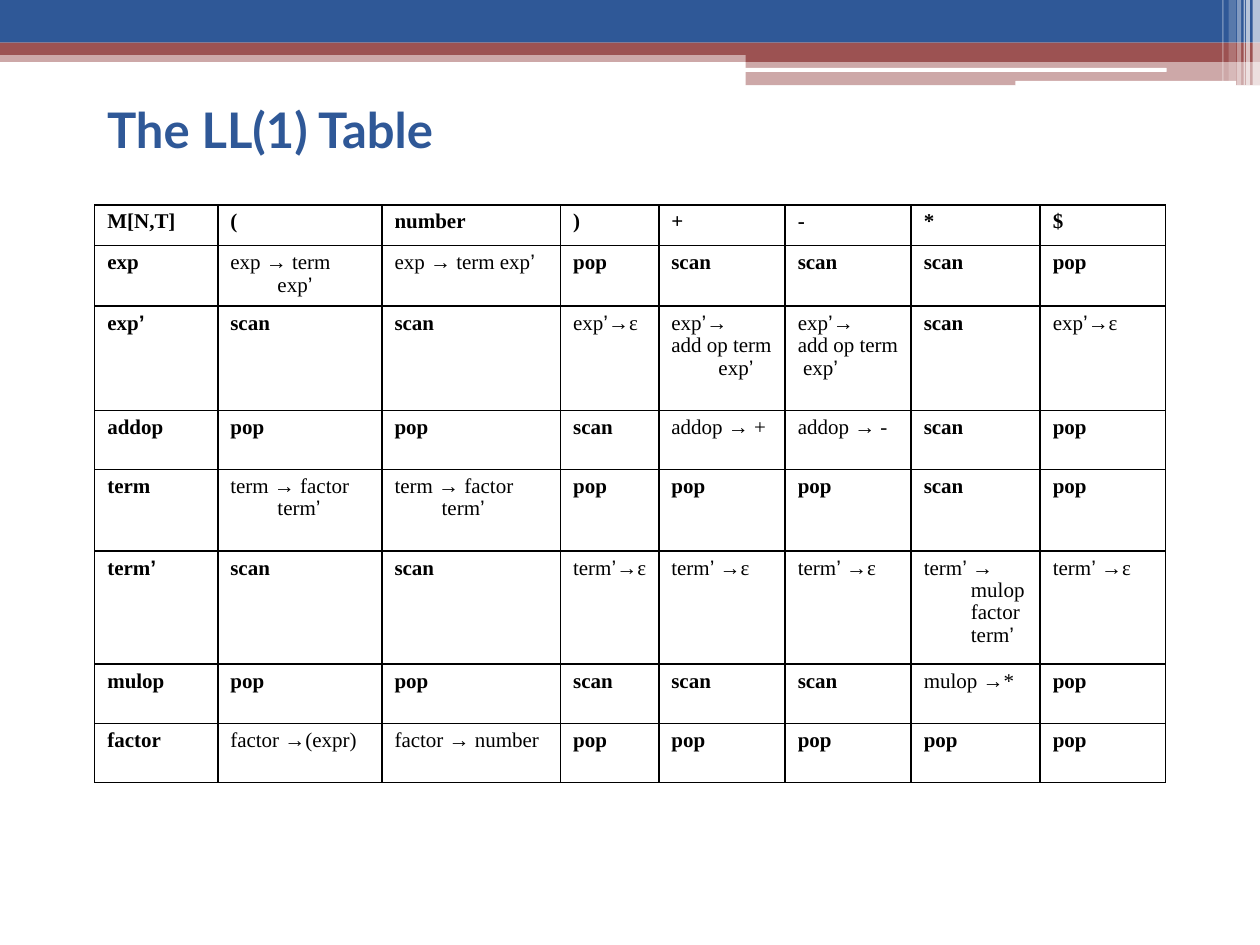
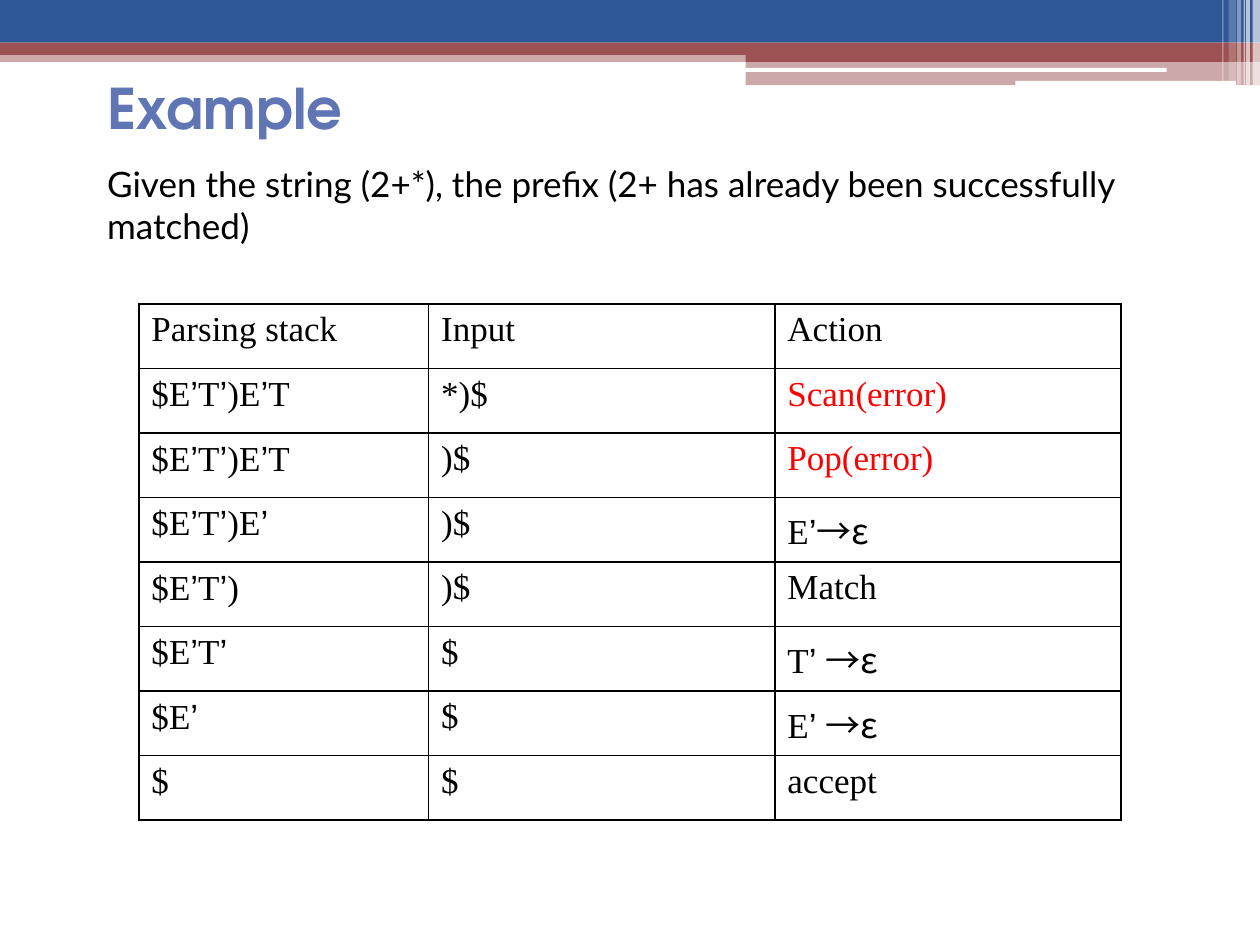
"""Build two slides on error recovery in LL(1) parsing."""
from itertools import groupby

from lxml import etree
from pptx import Presentation
from pptx import util as u
from pptx.dml.color import RGBColor
from pptx.enum import shapes, text
from pptx.oxml.ns import qn

HUES = {"blue": "2F5897", "soft": "6076B4", "brick": "9C5252",
        "white": "FFFFFF", "black": "000000", "red": "FF0000"}
SERIF, SANS, HEAD, WIDE = "Times New Roman", "Arial", "Lato", "Noto Sans CJK SC"
ROUND = shapes.MSO_SHAPE.ROUNDED_RECTANGLE
RECT = shapes.MSO_SHAPE.RECTANGLE
HANG = u.Cm(0.95)

BANDS = [
    (RECT, 0, 1.02, 25.4, 0.23, "brick", 50),
    (RECT, 0, 0, 25.4, 0.86, "blue", 100),
    (RECT, 0, 0.86, 25.4, 0.25, "brick", 100),
    (RECT, 15.03, 0.99, 10.37, 0.26, "brick", 100),
    (RECT, 15.03, 1.25, 10.37, 0.47, "brick", 50),
    (ROUND, 15.01, 1.37, 8.51, 0.08, "white", 100),
    (ROUND, 20.47, 1.63, 4.45, 0.1, "white", 100),
]
STRIPES = [(25.25, 0.15, 1.72, 65), (25.12, 0.08, 1.72, 65), (25.07, 0.03, 1.72, 60),
           (24.94, 0.08, 1.72, 40), (24.77, 0.15, 1.63, 20), (24.64, 0.03, 1.63, 30)]
BANDS += [(RECT, x, 0, wide, high, "white", part) for x, wide, high, part in STRIPES]

RULES = [
    ["M[N,T]", "(", "number", ")", "+", "-", "*", "$"],
    ["exp", "exp → term exp’", "exp → term exp’", "pop", "scan", "scan", "scan", "pop"],
    ["exp’", "scan", "scan", "exp’→ε", "exp’→\nadd op term exp’",
     "exp’→\nadd op term\n exp’", "scan", "exp’→ε"],
    ["addop", "pop", "pop", "scan", "addop → +", "addop → -", "scan", "pop"],
    ["term", "term → factor term’", "term → factor term’", "pop", "pop", "pop", "scan", "pop"],
    ["term’", "scan", "scan", "term’→ε", "term’ →ε", "term’ →ε",
     "term’ → mulop factor term’", "term’ →ε"],
    ["mulop", "pop", "pop", "scan", "scan", "scan", "mulop →*", "pop"],
    ["factor", "factor →(expr)", "factor → number", "pop", "pop", "pop", "pop", "pop"],
]
STEPS = [
    ["Parsing stack", "Input", "Action"],
    ["$E’T’)E’T", "*)$", "Scan(error)"],
    ["$E’T’)E’T", ")$", "Pop(error)"],
    ["$E’T’)E’", ")$", "E’→ε"],
    ["$E’T’)", ")$", "Match"],
    ["$E’T’", "$", "T’ →ε"],
    ["$E’", "$", "E’ →ε"],
    ["$", "$", "accept"],
]


def tint(hue):
    return RGBColor.from_string(HUES[hue])


def style(run, face, size, hue, bold=False):
    font = run.font
    font.size, font.bold, font.name = u.Pt(size), bold, face
    font.color.rgb = tint(hue)
    for tag in ("a:ea", "a:cs"):
        etree.SubElement(run._r.get_or_add_rPr(), qn(tag), typeface=face)


def start(deck):
    slide = deck.slides.add_slide(deck.slide_layouts[6])
    for kind, x, y, wide, high, hue, part in BANDS:
        band = slide.shapes.add_shape(kind, *map(u.Cm, (x, y, wide, high)))
        band.shadow.inherit = False
        band.line.fill.background()
        band.fill.solid()
        band.fill.fore_color.rgb = tint(hue)
        if part < 100:
            shade = band.fill._xPr.find(".//" + qn("a:srgbClr"))
            etree.SubElement(shade, qn("a:alpha"), val=str(part * 1000))
    return slide


def write(slide, words, y, high, anchor, *look):
    box = slide.shapes.add_textbox(*map(u.Cm, (1.91, y, 21.59, high)))
    frame = box.text_frame
    frame.word_wrap, frame.vertical_anchor = True, anchor
    frame.text = words
    style(frame.paragraphs[0].runs[0], *look)


def edge(cell):
    props = cell._tc.get_or_add_tcPr()
    for side in "LRTB":
        line = etree.SubElement(props, qn("a:ln" + side), w=str(u.Pt(1)))
        fill = etree.SubElement(line, qn("a:solidFill"))
        etree.SubElement(fill, qn("a:srgbClr"), val=HUES["black"])
    cell.fill.background()


def fill(cell, words, size, hue, bold, arrow, pitch):
    faces = {"’": SANS, "→": arrow, "ε": arrow}
    frame = cell.text_frame
    frame.text = words
    for para, line in zip(frame.paragraphs, words.split("\n")):
        props = para._p.get_or_add_pPr()
        props.set("marL", str(HANG))
        props.set("indent", str(-HANG))
        para.line_spacing = pitch
        para.text = ""
        for face, marks in groupby(line, lambda mark: faces.get(mark, SERIF)):
            run = para.add_run()
            run.text = "".join(marks)
            style(run, face, size, hue, bold)


def grid(slide, rows, x, y, cols, highs, size, arrow, strong, pitch):
    frame = slide.shapes.add_table(len(rows), len(cols), *map(u.Cm, (x, y, sum(cols), sum(highs))))
    table = frame.table
    table.first_row = table.horz_banding = False
    for col, wide in zip(table.columns, cols):
        col.width = u.Cm(wide)
    for r, row in enumerate(rows):
        table.rows[r].height = u.Cm(highs[r])
        for c, words in enumerate(row):
            cell = table.cell(r, c)
            edge(cell)
            bold = strong and (r == 0 or c == 0 or words in ("pop", "scan"))
            hue = "red" if "(error)" in words else "black"
            fill(cell, words, size, hue, bold, arrow, pitch)


def main():
    deck = Presentation()
    deck.slide_width, deck.slide_height = u.Cm(25.4), u.Cm(19.05)
    mid, low = text.MSO_ANCHOR.MIDDLE, text.MSO_ANCHOR.BOTTOM

    slide = start(deck)
    write(slide, "The LL(1) Table", 1.69, 1.83, mid, HEAD, 28, "blue", True)
    grid(slide, RULES, 1.91, 4.13, [2.48, 3.31, 3.6, 1.98, 2.55, 2.54, 2.6, 2.53],
         [0.82, 1.19, 2.1, 1.19, 1.65, 2.28, 1.19, 1.19], 12, SERIF, True, 0.95)

    slide = start(deck)
    write(slide, "Given the string (2+*), the prefix (2+ has already been successfully matched)",
          3.05, 2.16, mid, HEAD, 20, "black")
    grid(slide, STEPS, 2.8, 6.13, [5.84, 6.98, 6.98], [1.3] * 8, 20, WIDE, False, 1.0)
    write(slide, "Example", 1.13, 1.83, low, "TeX Gyre Adventor", 32, "soft", True)

    deck.save("out.pptx")


if __name__ == "__main__":
    main()
